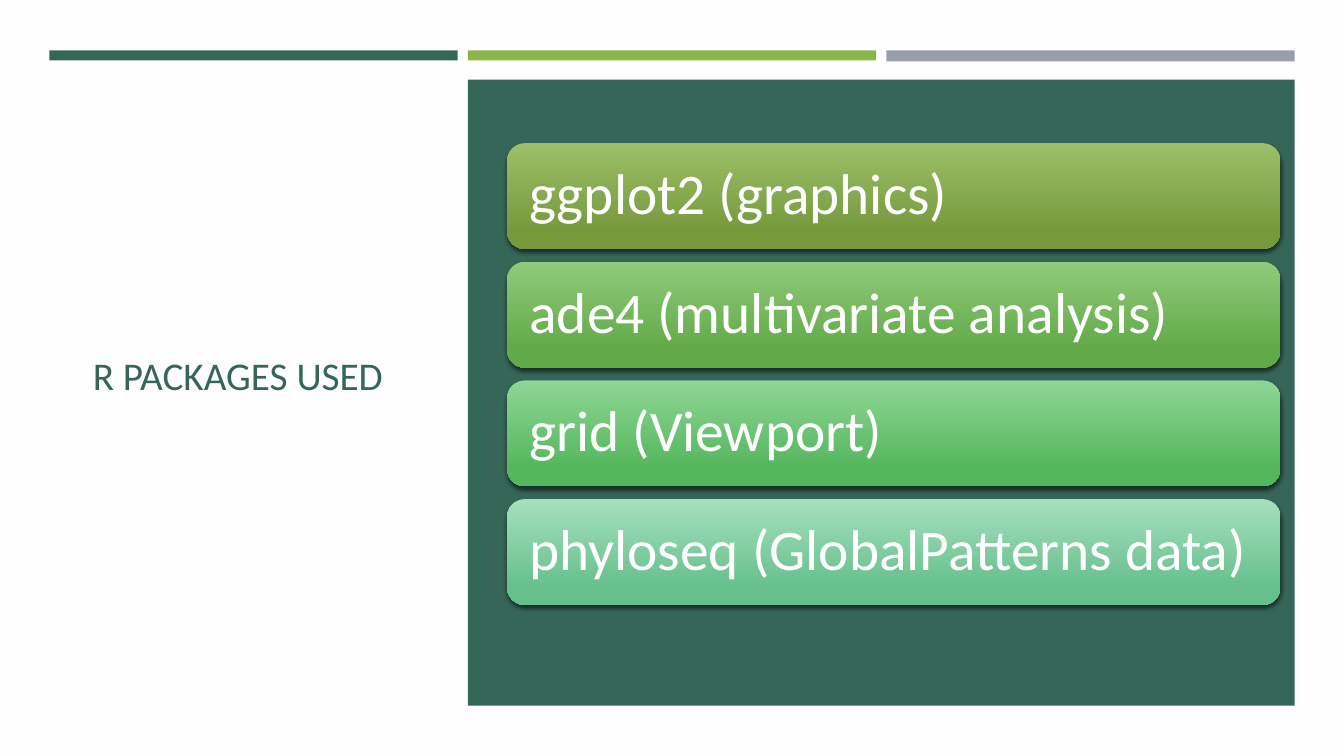
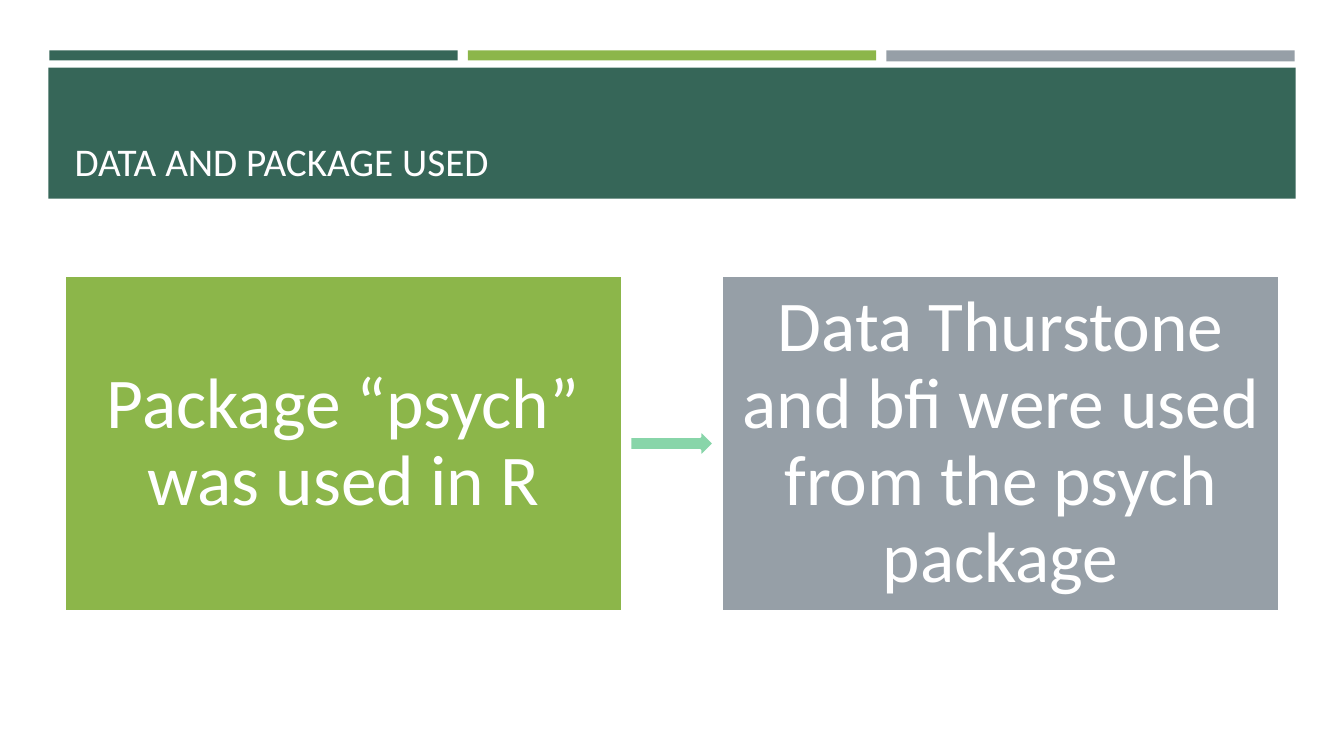
from lxml.etree import SubElement
from pptx import Presentation
from pptx.dml.color import RGBColor
from pptx.enum.shapes import MSO_SHAPE as Shape
from pptx.enum.text import MSO_ANCHOR as Anchor, MSO_AUTO_SIZE as AutoSize, PP_ALIGN as Align
from pptx.oxml.ns import qn
from pptx.util import Inches, Pt

FONT = "Calibri"
WHITE = RGBColor(0xFF, 0xFF, 0xFF)
OFF_WHITE = RGBColor(0xFF, 0xFE, 0xFF)
PINE = RGBColor(0x36, 0x66, 0x58)
LIME = RGBColor(0x8C, 0xB6, 0x4A)
GREY = RGBColor(0x96, 0x9F, 0xA7)
MINT = RGBColor(0x88, 0xD5, 0xA9)

PACKAGES = [
    ("ggplot2 (graphics)", RGBColor(0x9C, 0xC0, 0x67), RGBColor(0x76, 0x99, 0x3E)),
    ("ade4 (multivariate analysis)", RGBColor(0x8F, 0xCB, 0x7A), RGBColor(0x62, 0xA9, 0x48)),
    ("grid (Viewport)", RGBColor(0x8F, 0xD5, 0x95), RGBColor(0x54, 0xB7, 0x5C)),
    ("phyloseq (GlobalPatterns data)", RGBColor(0xA6, 0xDF, 0xBE), RGBColor(0x66, 0xC0, 0x8C)),
]
STEPS = [
    ("Package “psych” was used in R", LIME),
    ("Data Thurstone and bfi were used from the psych package", GREY),
]


def add_block(page, kind, left, top, width, height, color=None, outline=None):
    """Add a flat preset shape; the fill stays open when no color is given."""
    block = page.shapes.add_shape(
        kind, Inches(left), Inches(top), Inches(width), Inches(height))
    block.shadow.inherit = False
    if color is not None:
        block.fill.solid()
        block.fill.fore_color.rgb = color
    if outline is None:
        block.line.fill.background()
    else:
        block.line.color.rgb = outline
        block.line.width = Pt(1.75)
    return block


def write_label(block, text, size, align):
    frame = block.text_frame
    frame.word_wrap = True
    frame.vertical_anchor = Anchor.MIDDLE
    frame.margin_left = frame.margin_right = Inches(0.17)
    frame.margin_top = frame.margin_bottom = Inches(0.17)
    para = frame.paragraphs[0]
    para.text = text
    para.alignment = align
    para.line_spacing = 0.9
    para.font.name = FONT
    para.font.size = Pt(size)
    para.font.color.rgb = WHITE


def place_title(page, text, left, top, width, height, color, anchor):
    """Format the title placeholder and bring it to the front."""
    title = page.shapes.title
    title.left, title.top = Inches(left), Inches(top)
    title.width, title.height = Inches(width), Inches(height)
    frame = title.text_frame
    frame.word_wrap = True
    frame.auto_size = AutoSize.NONE
    frame.vertical_anchor = anchor
    para = frame.paragraphs[0]
    para.text = text
    para.alignment = Align.LEFT
    para.font.name = FONT
    para.font.size = Pt(28)
    para.font.color.rgb = color
    page.shapes._spTree.append(title._element)


def new_page(deck, background):
    """Add a title-only slide with the three accent bars."""
    page = deck.slides.add_slide(deck.slide_layouts[5])
    page.background.fill.solid()
    page.background.fill.fore_color.rgb = background
    for index, (color, height) in enumerate([(PINE, 0.1), (LIME, 0.1), (GREY, 0.11)]):
        add_block(page, Shape.RECTANGLE, 0.49 + index * 4.15, 0.5, 4.05, height, color)
    return page


def shade(block, light, dark):
    """Give a block a top-down gradient and a soft shadow below it."""
    block.fill.gradient()
    block.fill.gradient_angle = 270
    for stop, color, position in zip(block.fill.gradient_stops, (light, dark), (0, 0.84)):
        stop.color.rgb = color
        stop.position = position
    effects = block._element.spPr.find(qn("a:effectLst"))
    shadow = SubElement(effects, qn("a:outerShdw"), blurRad=str(Pt(3)),
                        dist=str(Pt(2)), dir="5400000", rotWithShape="0")
    black = SubElement(shadow, qn("a:srgbClr"), val="000000")
    SubElement(black, qn("a:alpha"), val="55000")


def add_package_list(page, left, top, width, height):
    """Draw the dark panel with one rounded bar per package."""
    add_block(page, Shape.RECTANGLE, left, top, width, height, PINE)
    for index, (text, light, dark) in enumerate(PACKAGES):
        bar = add_block(page, Shape.ROUNDED_RECTANGLE, left + 0.39,
                        top + 0.63 + index * 1.177, width - 0.53, 1.05)
        shade(bar, light, dark)
        write_label(bar, text, 41, Align.LEFT)


def add_step_flow(page, left, top, width, height):
    """Draw the two steps at the ends of the box, with an arrow between them."""
    step_width, arrow_width, arrow_height = 5.53, 0.83, 0.27
    for (text, color), x in zip(STEPS, (left, left + width - step_width)):
        step = add_block(page, Shape.RECTANGLE, x, top, step_width, height, color, WHITE)
        write_label(step, text, 51, Align.CENTER)
    add_block(page, Shape.RIGHT_ARROW, left + (width - arrow_width) / 2,
              top + (height - arrow_height) / 2, arrow_width, arrow_height, MINT, WHITE)


def build_packages_slide(deck):
    page = new_page(deck, OFF_WHITE)
    add_package_list(page, 4.64, 0.79, 8.2, 6.21)
    place_title(page, "R PACKAGES USED", 0.82, 1.14, 3.34, 5.15, PINE, Anchor.MIDDLE)


def build_data_slide(deck):
    page = new_page(deck, WHITE)
    add_block(page, Shape.RECTANGLE, 0.48, 0.67, 12.37, 1.3, PINE)
    add_step_flow(page, 0.64, 2.74, 12.05, 3.32)
    place_title(page, "DATA AND PACKAGE USED", 0.64, 0.77, 12.06, 1.11, OFF_WHITE, Anchor.BOTTOM)


def main():
    deck = Presentation()
    deck.slide_width, deck.slide_height = Inches(13.33), Inches(7.5)
    build_packages_slide(deck)
    build_data_slide(deck)
    deck.save("out.pptx")


if __name__ == "__main__":
    main()
